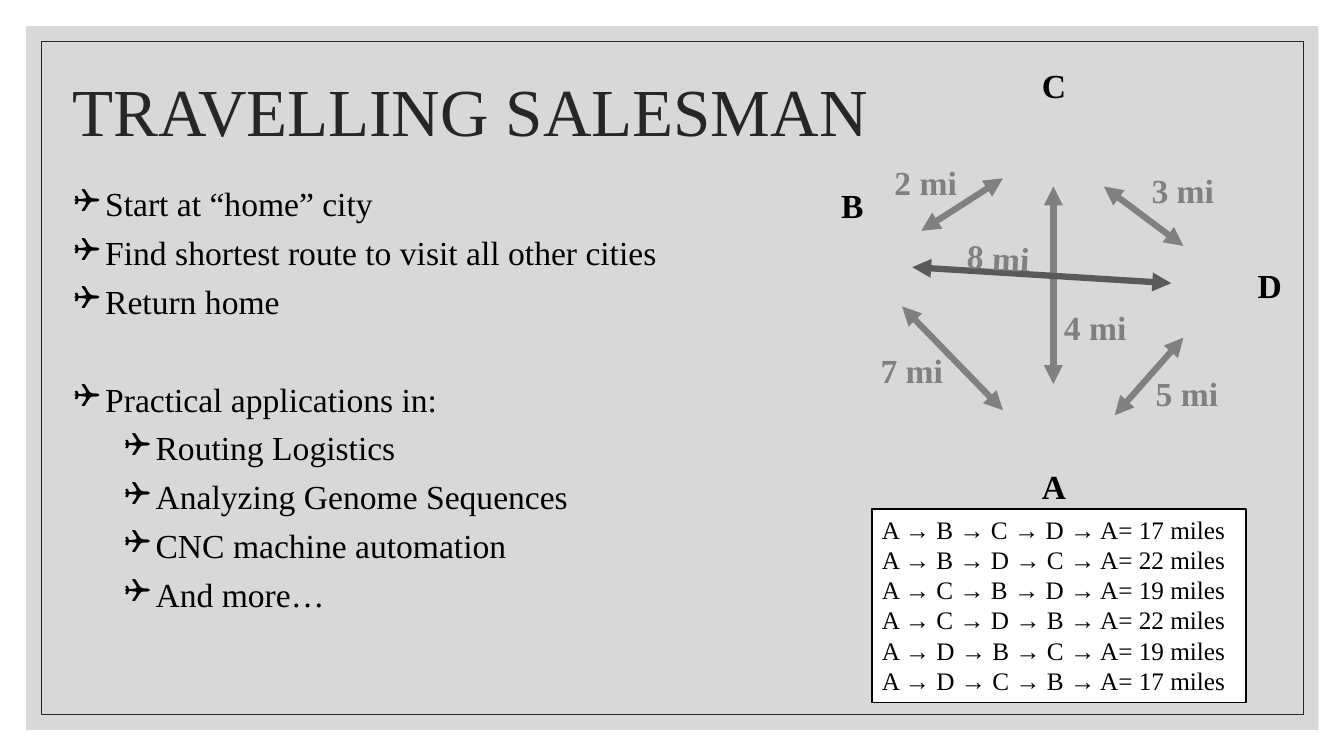
from lxml.etree import SubElement
from pptx import Presentation
from pptx.dml.color import RGBColor
from pptx.enum.shapes import MSO_CONNECTOR as CONN, MSO_SHAPE as SHAPE
from pptx.enum.text import MSO_ANCHOR as ANCHOR, MSO_AUTO_SIZE as FIT, PP_ALIGN as ALIGN
from pptx.oxml.ns import qn
from pptx.util import Pt

COLORS = {"panel": "BFBFBF", "ink": "262626", "black": "000000", "white": "FFFFFF",
          "road": "808080", "dark_road": "595959", "outline": "AF9F7F"}
FONT = "Times New Roman"
LABEL_SIZE = (88.6, 36)

# Miles, label position, road ends, label rotation, road colour
ROADS = [
    (2, (617, 112.3), (658.1, 164.9, 716.4, 127.4), 0, "road"),
    (7, (607, 246.2), (644.4, 218.9, 716.4, 293), 0, "road"),
    (3, (800.6, 118.1), (788.4, 133.2, 845.3, 175.7), 0, "road"),
    (5, (803.5, 262.8), (796.3, 296.6, 845.3, 241.2), 0, "road"),
    (4, (738, 216), (752.4, 274.3, 752.4, 133.2), 0, "road"),
    (8, (668.9, 165.6), (651.6, 190.8, 836.6, 202.3), 3.1, "dark_road"),
]
CITIES = {"B": (564.5, 128.9), "A": (708.5, 329), "C": (708.5, 42.5), "D": (862.6, 185.8)}
TOURS = [("BCD", 17), ("BDC", 22), ("CBD", 19), ("CDB", 22), ("DBC", 19), ("DCB", 17)]

# Text, level, space before
BULLETS = [
    ("Start at “home” city", 0, 0),
    ("Find shortest route to visit all other cities", 0, 0),
    ("Return home", 0, 0),
    ("Practical applications in:", 0, 35),
    ("Routing Logistics", 1, 0),
    ("Analyzing Genome Sequences", 1, 0),
    ("CNC machine automation", 1, 0),
    ("And more…", 1, 0),
]


def rgb(name):
    return RGBColor.from_string(COLORS[name])


def place(shape, *box):
    for name, value in zip(("left", "top", "width", "height"), box):
        setattr(shape, name, Pt(value))


def add_run(p, text, size, color="black", bold=False):
    r = p.add_run()
    r.text = text
    for name, value in {"name": FONT, "size": Pt(size), "bold": bold}.items():
        setattr(r.font, name, value)
    r.font.color.rgb = rgb(color)
    return r


def format_paragraph(p, **values):
    for name, value in values.items():
        setattr(p, name, value)


def add_rect(s, box, fill=None, line=None, width=1):
    sp = s.shapes.add_shape(SHAPE.RECTANGLE, *map(Pt, box))
    sp.shadow.inherit = False
    if fill:
        sp.fill.solid()
        sp.fill.fore_color.rgb = rgb(fill)
    else:
        sp.fill.background()
    if line:
        sp.line.color.rgb = rgb(line)
        sp.line.width = Pt(width)
    else:
        sp.line.fill.background()
    return sp


def add_frame(s):
    panel = add_rect(s, (18.7, 18.7, 923, 502.6), fill="panel")
    color = panel.element.spPr.find(f"{qn('a:solidFill')}/{qn('a:srgbClr')}")
    SubElement(color, qn("a:alpha"), val="60000")
    border = add_rect(s, (29.5, 29.5, 901.4, 481), line="ink", width=0.5)
    # Keep the frame behind the placeholders
    for index, sp in enumerate((panel, border), start=2):
        s.shapes.element.insert(index, sp.element)


def fill_title(sp, text):
    place(sp, 44.6, 28.1, 792, 108)
    sp.text_frame.vertical_anchor = ANCHOR.MIDDLE
    p = sp.text_frame.paragraphs[0]
    format_paragraph(p, alignment=ALIGN.LEFT, line_spacing=0.9)
    add_run(p, text, 48, "ink")


def fill_bullets(sp):
    place(sp, 45.4, 127.4, 511.2, 317.5)
    tf = sp.text_frame
    tf.auto_size = FIT.NONE
    for i, (text, level, before) in enumerate(BULLETS):
        p = tf.add_paragraph() if i else tf.paragraphs[0]
        format_paragraph(p, level=level, space_before=Pt(before), space_after=Pt(6))
        pPr = p._p.get_or_add_pPr()
        pPr.set("marL", str(Pt(22.5 + 36 * level)))
        pPr.set("indent", str(Pt(-22.5)))
        SubElement(pPr, qn("a:buFont"), typeface="Wingdings")
        SubElement(pPr, qn("a:buChar"), char="❑")
        add_run(p, text, 24)


def add_tours(s):
    sp = add_rect(s, (622.8, 363.6, 267.1, 138.2), fill="white", line="black")
    tf = sp.text_frame
    tf.vertical_anchor = ANCHOR.TOP
    for i, (stops, miles) in enumerate(TOURS):
        p = tf.add_paragraph() if i else tf.paragraphs[0]
        p.alignment = ALIGN.LEFT
        add_run(p, " → ".join(f"A{stops}A") + f"= {miles} miles", 18)


def add_road(s, ends, color):
    road = s.shapes.add_connector(CONN.STRAIGHT, *map(Pt, ends))
    road.line.color.rgb = rgb(color)
    road.line.width = Pt(4.5)
    ln = road.line._get_or_add_ln()
    for end in ("a:headEnd", "a:tailEnd"):
        SubElement(ln, qn(end), type="triangle")
    SubElement(road.element.spPr, qn("a:effectLst"))


def add_label(s, text, position, color, rotation=0):
    sp = s.shapes.add_textbox(*map(Pt, position + LABEL_SIZE))
    sp.rotation = rotation
    tf = sp.text_frame
    tf.word_wrap = True
    p = tf.paragraphs[0]
    p.alignment = ALIGN.CENTER
    r = add_run(p, text, 24, color, bold=True)
    # Thin letter outline
    rPr = r.font._element
    ln = rPr.makeelement(qn("a:ln"), {"w": str(Pt(1))})
    rPr.insert(0, ln)
    fill = SubElement(ln, qn("a:solidFill"))
    SubElement(fill, qn("a:srgbClr"), val=COLORS["outline"])


def main():
    prs = Presentation()
    prs.slide_width, prs.slide_height = Pt(960), Pt(540)
    s = prs.slides.add_slide(prs.slide_layouts[1])
    add_frame(s)

    # Title and list
    fill_title(s.shapes.title, "TRAVELLING SALESMAN")
    fill_bullets(s.placeholders[1])

    # Tour lengths
    add_tours(s)

    # City map
    for _, _, ends, _, color in ROADS:
        add_road(s, ends, color)
    for miles, position, _, rotation, _ in ROADS:
        add_label(s, f"{miles} mi", position, "road", rotation)
    for city, position in CITIES.items():
        add_label(s, city, position, "black")

    prs.save("out.pptx")


if __name__ == "__main__":
    main()
